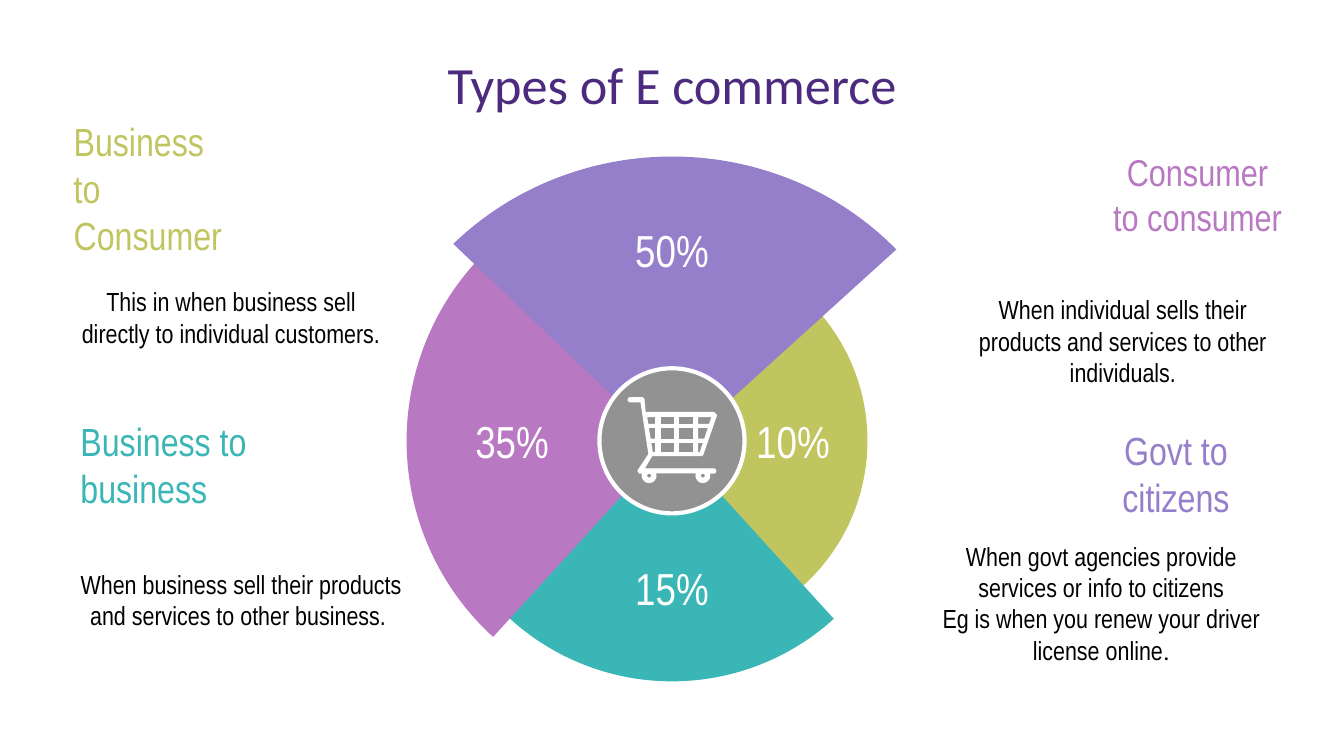
import math
from pptx import Presentation
from pptx.dml.color import RGBColor
from pptx.enum import shapes, text
from pptx.util import Inches, Pt

COLORS = {
    "title": "4C2B7E", "lime": "C0C55F", "teal": "39B6B5", "pink": "B878C2",
    "violet": "957FCA", "grey": "929292", "white": "FFFFFF", "black": "000000",
}
NARROW = "Arial Narrow"
LEFT, CENTER = text.PP_ALIGN.LEFT, text.PP_ALIGN.CENTER
HUB = (5, 3.28)

# Slices: color, width, height, centre drop, start and end angle, label, label left and top
SLICES = [
    ("lime", 2.91, 2.91, 0, 316.7, 48.36, "10%", 5.3, 2.92),
    ("teal", 3.58, 3.58, 0, 47.73, 133.96, "15%", 4.4, 4.02),
    ("pink", 3.95, 3.95, 0, 132.38, 225, "35%", 3.21, 2.92),
    ("violet", 4.59, 4.41, 0.09, 223.7, 317.8, "50%", 4.4, 1.5),
]

# Headings: text, color, size, alignment, box
HEADINGS = [
    ("Business to business", "teal", 21, LEFT, (0.5, 3.19, 1.48, 0.53)),
    ("Business to Consumer", "lime", 21, LEFT, (0.45, 1.15, 1.4, 0.5)),
    ("Govt to citizens", "violet", 21, CENTER, (8, 3.27, 1.5, 0.51)),
    ("Consumer to consumer", "pink", 20, CENTER, (8.17, 1.16, 1.48, 0.57)),
]

# Descriptions: paragraphs of (text, font) spans, box
DESCRIPTIONS = [
    ([[("When business sell their products and services to other business. ", NARROW)]],
     (0.5, 3.86, 2.59, 1.2)),
    ([[("This in when business sell directly to individual customers.", NARROW)]],
     (0.5, 1.8, 2.44, 1.12)),
    ([[("When govt agencies provide services or info to citizens", NARROW)],
      [("Eg is when you renew your driver license online", NARROW), (".", "Roboto")]],
     (6.89, 3.91, 2.61, 1.15)),
    ([[("When individual sells their products and services to other individuals.", NARROW)]],
     (7.06, 1.89, 2.59, 1.29)),
]

# Cart: basket rows, inner column edges, wheel centres
ROWS = [(3.1, 3.16), (3.18, 3.27), (3.29, 3.37)]
COLUMNS = [(4.88, 4.91), (5.02, 5.05), (5.16, 5.19)]
WHEELS = [(4.83, 3.54), (5.23, 3.54)]

deck = Presentation()
deck.slide_width = Inches(10)
deck.slide_height = deck.slide_width * 9 // 16
page = deck.slides.add_slide(deck.slide_layouts[6])


def color(name):
    return RGBColor.from_string(COLORS[name])


def add_text(paragraphs, box_at, size, ink, align=CENTER):
    box = page.shapes.add_textbox(*map(Inches, box_at))
    frame = box.text_frame
    settings = {"word_wrap": True, "vertical_anchor": text.MSO_ANCHOR.MIDDLE}
    settings.update({f"margin_{side}": Inches(0.1)
                     for side in ("left", "top", "right", "bottom")})
    for name, value in settings.items():
        setattr(frame, name, value)
    for index, spans in enumerate(paragraphs):
        para = frame.add_paragraph() if index else frame.paragraphs[0]
        para.alignment = align
        for words, font in spans:
            span = para.add_run()
            span.text = words
            for name, value in {"name": font, "size": Pt(size)}.items():
                setattr(span.font, name, value)
            span.font.color.rgb = color(ink)


def paint(shape, fill, line=None, weight=0):
    shape.shadow.inherit = False
    shape.fill.solid()
    shape.fill.fore_color.rgb = color(fill)
    if line:
        shape.line.color.rgb = color(line)
        shape.line.width = Pt(weight)
    else:
        shape.line.fill.background()


def add_centered(kind, width, height, drop=0):
    x, y = HUB
    return page.shapes.add_shape(kind, Inches(x - width / 2), Inches(y + drop - height / 2),
                                 Inches(width), Inches(height))


def arc(center, radius, start, end, steps=16):
    angles = [math.radians(start + (end - start) * i / steps) for i in range(steps + 1)]
    return [(center[0] + radius * math.cos(a), center[1] + radius * math.sin(a))
            for a in angles]


def basket_slots():
    def left(y):
        return 4.81 + 0.16 * (y - 3.1)

    def right(y):
        return 5.3 - 0.33 * (y - 3.1)

    for top, bottom in ROWS:
        starts = [(left(top), left(bottom))] + [(b, b) for _, b in COLUMNS]
        ends = [(a, a) for a, _ in COLUMNS] + [(right(top), right(bottom))]
        for (x1, x2), (x3, x4) in zip(starts, ends):
            yield [(x1, top), (x3, top), (x4, bottom), (x2, bottom)]


# Title
add_text([[("Types of E commerce", "Calibri")]], (2.75, 0.45, 4.5, 0.35), 28, "title")

# Slices with their shares
for fill, width, height, drop, start, end, share, x, y in SLICES:
    pie = add_centered(shapes.MSO_SHAPE.PIE, width, height, drop)
    for index, angle in enumerate((start, end)):
        pie.adjustments[index] = angle * 0.6  # 60000ths of a degree over 100000
    paint(pie, fill)
    add_text([[(share, NARROW)]], (x, y, 1.2, 0.71), 24, "white")

# White disc behind the hub
paint(add_centered(shapes.MSO_SHAPE.OVAL, 0.85, 0.85), "white")

# Headings and descriptions
for (words, ink, size, align, heading_at), (paragraphs, box_at) in zip(HEADINGS, DESCRIPTIONS):
    add_text(paragraphs, box_at, 14, "black")
    add_text([[(words, NARROW)]], heading_at, size, ink, align)

# Hub
paint(add_centered(shapes.MSO_SHAPE.OVAL, 1.08, 1.08), "grey", "white", 2.25)

# Cart
body = [
    *arc((4.69, 2.975), 0.015, 270, 90, 6), (4.77, 2.99), (4.83, 3.38),
    (4.75, 3.5), (4.75, 3.51), (4.76, 3.52),
    *arc(WHEELS[0], 0.05, 206, -26), *arc(WHEELS[1], 0.05, 206, -26),
    *arc((5.31, 3.505), 0.015, 90, -90, 6), (4.79, 3.49), (4.85, 3.39),
    (5.22, 3.39), (5.23, 3.38), (5.33, 3.09), (5.32, 3.08), (5.31, 3.07),
    (4.8, 3.07), (4.79, 2.97), (4.78, 2.96),
]
contours = [*basket_slots(), *(arc(hub, 0.02, 0, 360) for hub in WHEELS), body]
builder = None
for contour in contours:
    points = [(x * 1000, y * 1000) for x, y in contour]
    if builder is None:
        builder = page.shapes.build_freeform(*points[0], scale=Inches(1) / 1000)
    else:
        builder.move_to(*points[0])
    builder.add_line_segments(points[1:], close=True)
paint(builder.convert_to_shape(), "white", "white", 0.75)

deck.save("out.pptx")
